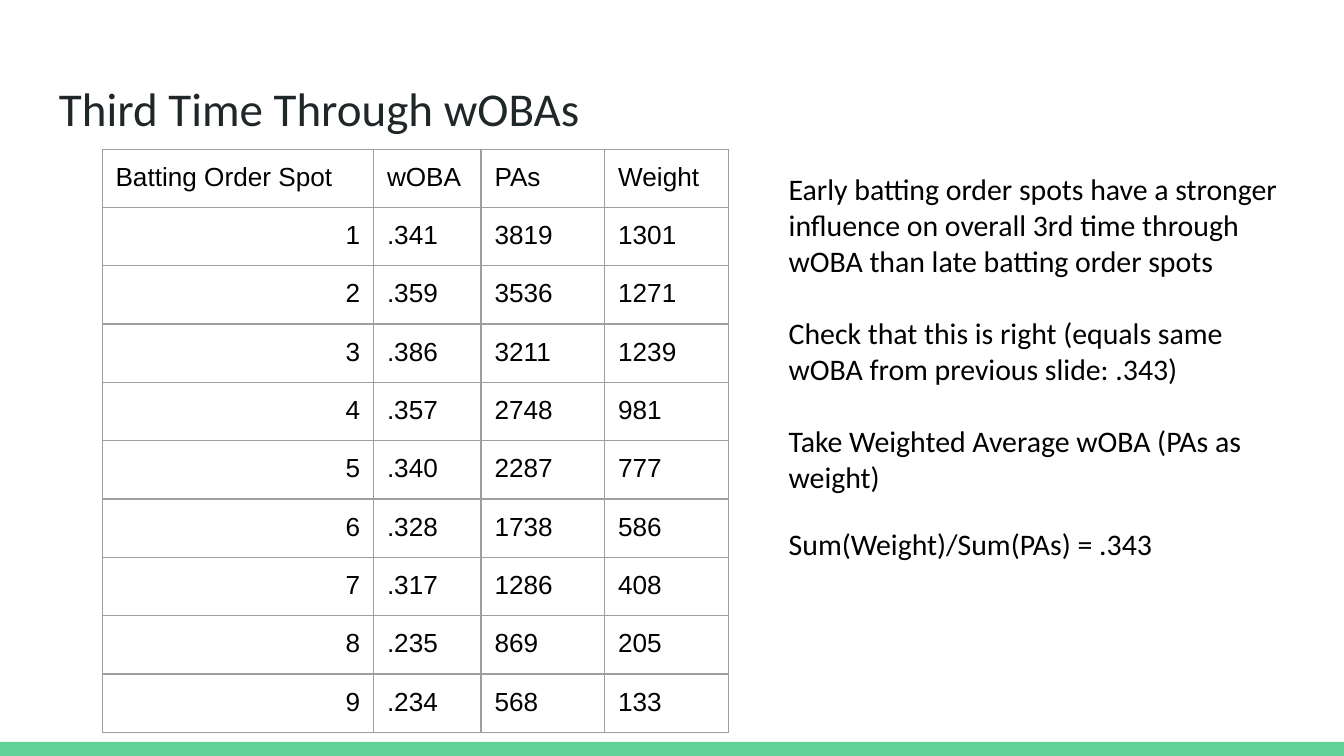
"""Build the slide on third time through wOBAs by batting order spot."""
from lxml.etree import SubElement as Sub
from pptx import Presentation
from pptx.dml.color import RGBColor
from pptx.enum.shapes import MSO_SHAPE as Shape
from pptx.enum.text import PP_ALIGN as Align
from pptx.oxml.ns import qn
from pptx.util import Inches, Pt


def paint(code):
    return RGBColor.from_string(code)


def write(frame, text, size=16, font="Calibri", color="000000", align=Align.LEFT, gaps=()):
    frame.word_wrap = True
    frame.margin_left = frame.margin_right = Inches(0.1)
    frame.margin_top = frame.margin_bottom = Inches(0.1)
    frame.text = text
    for para in frame.paragraphs:
        para.alignment = align
        run = para.runs[0].font
        run.size, run.name = Pt(size), font
        run.color.rgb = paint(color)
    for para, gap in zip(frame.paragraphs, gaps):
        para.space_after = Pt(gap)


deck = Presentation()
deck.slide_width = Inches(10)
deck.slide_height = Inches(10 * 9 / 16)
slide = deck.slides.add_slide(deck.slide_layouts[6])
shapes = slide.shapes

band = shapes.add_shape(Shape.RECTANGLE, Inches(0), Inches(5.52), Inches(10), Inches(0.11))
band.shadow.inherit = False
band.fill.solid()
band.fill.fore_color.rgb = paint("63D297")
band.line.fill.background()

title = shapes.add_textbox(Inches(0.34), Inches(0.49), Inches(9.32), Inches(0.63))
write(title.text_frame, "Third Time Through wOBAs", size=25.2, color="202729")

rows = [
    ("Batting Order Spot", "wOBA", "PAs", "Weight"),
    ("1", ".341", "3819", "1301"),
    ("2", ".359", "3536", "1271"),
    ("3", ".386", "3211", "1239"),
    ("4", ".357", "2748", "981"),
    ("5", ".340", "2287", "777"),
    ("6", ".328", "1738", "586"),
    ("7", ".317", "1286", "408"),
    ("8", ".235", "869", "205"),
    ("9", ".234", "568", "133"),
]
widths = [2.02, 0.8, 0.92, 0.92]
heights = [0.42] + [0.43] * 9
grid = shapes.add_table(
    len(rows), len(widths), Inches(0.76), Inches(1.11), Inches(sum(widths)), Inches(sum(heights))
).table
grid.first_row = grid.horz_banding = False
for col, width in zip(grid.columns, widths):
    col.width = Inches(width)
for row, height in zip(grid.rows, heights):
    row.height = Inches(height)

for i, row in enumerate(rows):
    for j, text in enumerate(row):
        cell = grid.cell(i, j)
        side = Align.RIGHT if i and j == 0 else Align.LEFT
        write(cell.text_frame, text, size=14, font="Arial", align=side)
        cell.margin_left = cell.margin_right = Inches(0.1)
        cell.margin_top = cell.margin_bottom = Inches(0.1)
        props = cell._tc.get_or_add_tcPr()
        for edge in ("a:lnL", "a:lnR", "a:lnT", "a:lnB"):
            line = Sub(props, qn(edge), w=str(Pt(0.75)))
            Sub(Sub(line, qn("a:solidFill")), qn("a:srgbClr"), val="9E9E9E")
        cell.fill.background()

notes = [
    "Early batting order spots have a stronger influence on overall 3rd time through "
    "wOBA than late batting order spots",
    "Check that this is right (equals same wOBA from previous slide: .343)",
    "Take Weighted Average wOBA (PAs as weight)",
    "Sum(Weight)/Sum(PAs) = .343",
]
box = shapes.add_textbox(Inches(5.77), Inches(1.17), Inches(3.88), Inches(3.4))
write(box.text_frame, "\n".join(notes), gaps=(19.5, 19.5, 17))

deck.save("out.pptx")
